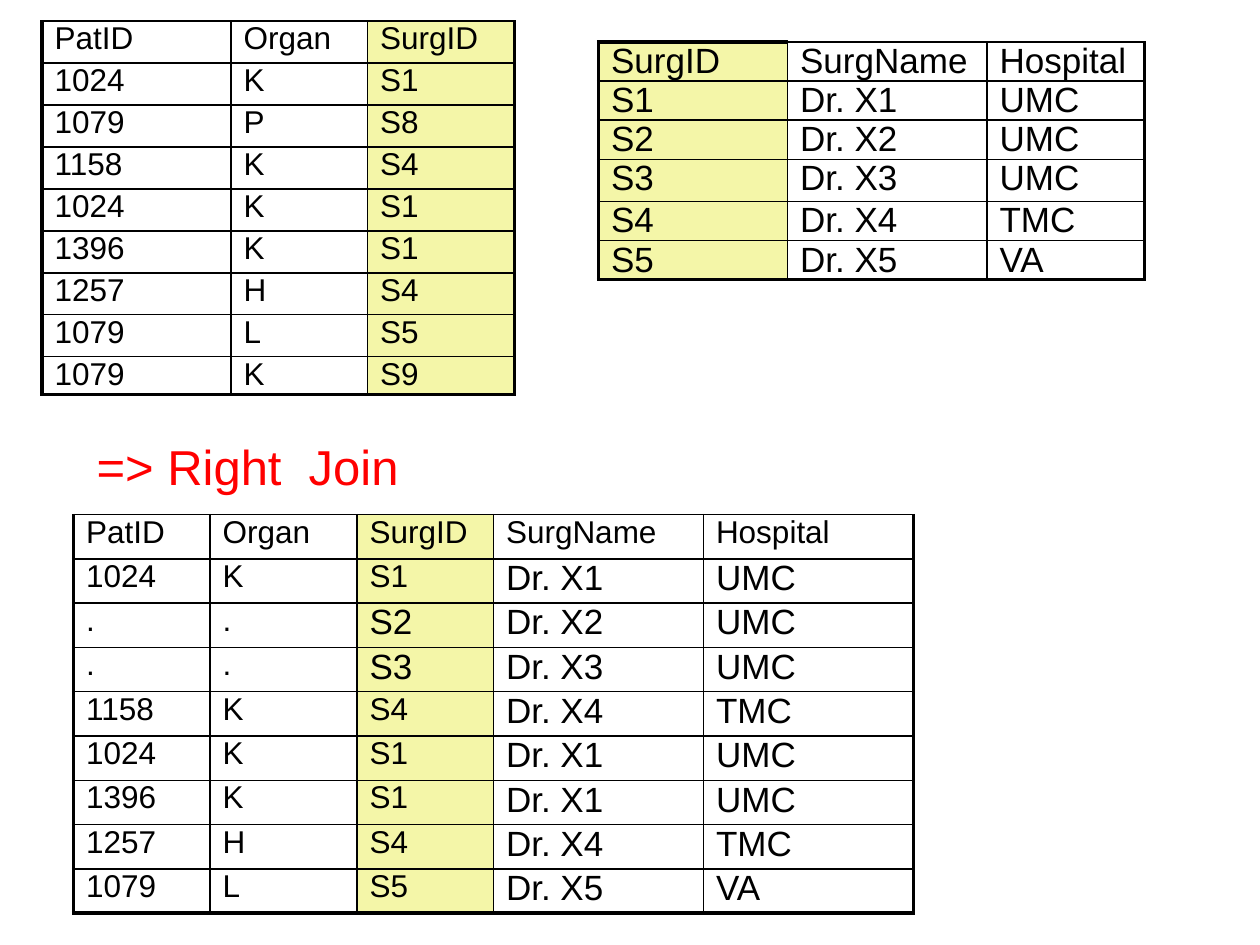
import dataclasses

import lxml.etree
import pptx
import pptx.dml.color
import pptx.enum.text
import pptx.oxml.ns
import pptx.util

BLACK = pptx.dml.color.RGBColor(0x00, 0x00, 0x00)
WHITE = pptx.dml.color.RGBColor(0xFF, 0xFF, 0xFF)
RED = pptx.dml.color.RGBColor(0xFF, 0x00, 0x00)
KEY_YELLOW = pptx.dml.color.RGBColor(0xF4, 0xF6, 0xA8)

GRID_COLUMNS, GRID_ROWS = 120, 90
GRID_UNIT = pptx.util.Inches(10) // GRID_COLUMNS
THIN, THICK = 1, 2.25
SMALL, LARGE = 18, 20


@dataclasses.dataclass
class Relation:
    """A database table; lengths are in grid units."""
    left: float
    top: float
    column_widths: list[float]
    row_heights: list[float]
    key_column: int
    records: list[list[str]]
    large_from: int  # first column whose records use the large size
    large_header: bool = False
    thick_key_top: bool = False


PATIENTS = Relation(
    left=4, top=2, column_widths=[18, 13, 14], row_heights=[4] * 8 + [3.6],
    key_column=2, large_from=3,
    records=[
        ["PatID", "Organ", "SurgID"],
        ["1024", "K", "S1"],
        ["1079", "P", "S8"],
        ["1158", "K", "S4"],
        ["1024", "K", "S1"],
        ["1396", "K", "S1"],
        ["1257", "H", "S4"],
        ["1079", "L", "S5"],
        ["1079", "K", "S9"],
    ])

SURGEONS = Relation(
    left=57, top=4, column_widths=[18, 19, 15],
    row_heights=[3.72] * 3 + [4] + [3.72] * 2,
    key_column=0, large_from=0, large_header=True, thick_key_top=True,
    records=[
        ["SurgID", "SurgName", "Hospital"],
        ["S1", "Dr. X1", "UMC"],
        ["S2", "Dr. X2", "UMC"],
        ["S3", "Dr. X3", "UMC"],
        ["S4", "Dr. X4", "TMC"],
        ["S5", "Dr. X5", "VA"],
    ])

RIGHT_JOIN = Relation(
    left=7, top=49, column_widths=[13, 14, 13, 20, 20],
    row_heights=[38 / 9] * 9, key_column=2, large_from=3,
    records=[
        ["PatID", "Organ", "SurgID", "SurgName", "Hospital"],
        ["1024", "K", "S1", "Dr. X1", "UMC"],
        [".", ".", "S2", "Dr. X2", "UMC"],
        [".", ".", "S3", "Dr. X3", "UMC"],
        ["1158", "K", "S4", "Dr. X4", "TMC"],
        ["1024", "K", "S1", "Dr. X1", "UMC"],
        ["1396", "K", "S1", "Dr. X1", "UMC"],
        ["1257", "H", "S4", "Dr. X4", "TMC"],
        ["1079", "L", "S5", "Dr. X5", "VA"],
    ])


def grid(units: float) -> int:
    return round(units * GRID_UNIT)


def write_text(text_frame, text: str, *, size: float, color=BLACK,
               font: str = "Arial") -> None:
    paragraph = text_frame.paragraphs[0]
    paragraph.alignment = pptx.enum.text.PP_ALIGN.LEFT
    run = paragraph.add_run()
    run.text = text
    run.font.name = font
    run.font.size = pptx.util.Pt(size)
    run.font.bold = False
    run.font.color.rgb = color


def set_borders(cell, **widths: float) -> None:
    """Draw black borders; the sides must be given in the order L, R, T, B."""
    properties = cell._tc.get_or_add_tcPr()
    for position, (side, width) in enumerate(widths.items()):
        line = lxml.etree.Element(
            pptx.oxml.ns.qn(f"a:ln{side}"), w=str(pptx.util.Pt(width)))
        fill = lxml.etree.SubElement(line, pptx.oxml.ns.qn("a:solidFill"))
        lxml.etree.SubElement(
            fill, pptx.oxml.ns.qn("a:srgbClr"), val=str(BLACK))
        properties.insert(position, line)


def text_size(relation: Relation, row: int, column: int) -> int:
    if row == 0:
        return LARGE if relation.large_header else SMALL
    unmatched_key = (column == relation.key_column
                     and "." in relation.records[row])
    return LARGE if column >= relation.large_from or unmatched_key else SMALL


def draw_relation(slide, relation: Relation) -> None:
    last_row = len(relation.row_heights) - 1
    last_column = len(relation.column_widths) - 1
    table = slide.shapes.add_table(
        last_row + 1, last_column + 1, grid(relation.left), grid(relation.top),
        grid(sum(relation.column_widths)),
        grid(sum(relation.row_heights))).table
    table.first_row = table.horz_banding = False
    for column, width in zip(table.columns, relation.column_widths):
        column.width = grid(width)
    for row, height in zip(table.rows, relation.row_heights):
        row.height = grid(height)
    for row, record in enumerate(relation.records):
        for column, text in enumerate(record):
            is_key = column == relation.key_column
            cell = table.cell(row, column)
            cell.margin_top = cell.margin_bottom = 0
            cell.fill.solid()
            cell.fill.fore_color.rgb = KEY_YELLOW if is_key else WHITE
            thick_top = relation.thick_key_top and is_key and row == 0
            set_borders(
                cell,
                L=THICK if column == 0 else THIN,
                R=THICK if column == last_column else THIN,
                T=THICK if thick_top else THIN,
                B=THICK if row == last_row else THIN)
            write_text(cell.text_frame, text,
                       size=text_size(relation, row, column))


def draw_title(slide, text: str) -> None:
    title = slide.shapes.title
    title.left, title.top = grid(8), grid(41)
    title.width, title.height = grid(31.2), grid(6.8)
    title.text_frame.word_wrap = False
    title.text_frame.auto_size = pptx.enum.text.MSO_AUTO_SIZE.NONE
    title.text_frame.vertical_anchor = pptx.enum.text.MSO_ANCHOR.TOP
    write_text(title.text_frame, text, size=28, color=RED)


def main() -> None:
    presentation = pptx.Presentation()
    presentation.slide_width = grid(GRID_COLUMNS)
    presentation.slide_height = grid(GRID_ROWS)
    title_only = presentation.slide_layouts.get_by_name("Title Only")
    slide = presentation.slides.add_slide(title_only)
    for relation in (PATIENTS, SURGEONS, RIGHT_JOIN):
        draw_relation(slide, relation)
    draw_title(slide, "=> Right  Join")
    presentation.save("out.pptx")


if __name__ == "__main__":
    main()
